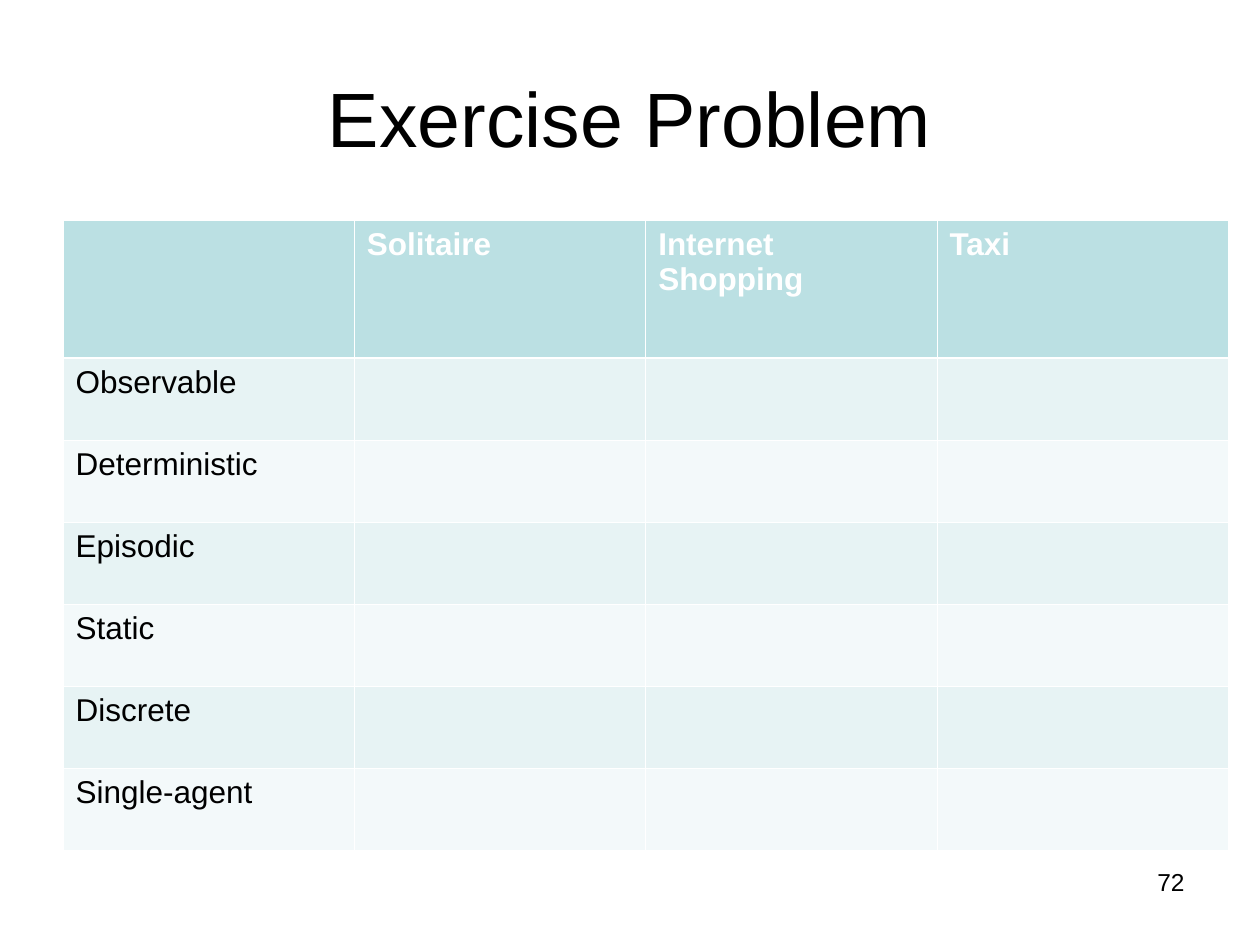
from dataclasses import dataclass

from lxml.etree import SubElement
from pptx import Presentation
from pptx.dml.color import RGBColor
from pptx.enum.text import MSO_ANCHOR as Anchor, PP_ALIGN as Align
from pptx.oxml.ns import qn
from pptx.util import Pt


@dataclass(frozen=True)
class Theme:
    font: str = "Arial"
    text: str = "000000"
    header_text: str = "FFFFFF"
    header_fill: str = "BBE0E3"
    bands: tuple = ("E7F3F4", "F3F9FA")
    border: str = "FFFFFF"
    thin: float = 0.45
    thick: float = 1.47
    title_size: int = 44
    table_size: int = 18
    number_size: int = 14


class SlideBuilder:
    def __init__(self, slide, theme):
        self.s = slide
        self.theme = theme

    def style(self, tf, size, color, bold=False, align=Align.LEFT):
        for p in tf.paragraphs:
            p.alignment = align
            # The paragraph font also sets the height of empty cells.
            for font in [p.font] + [r.font for r in p.runs]:
                font.name = self.theme.font
                font.size = Pt(size)
                font.bold = bold
                font.color.rgb = RGBColor.from_string(color)

    def text(self, text, box, size, align, anchor=Anchor.TOP):
        sp = self.s.shapes.add_textbox(*(Pt(v) for v in box))
        tf = sp.text_frame
        tf.word_wrap = True
        tf.vertical_anchor = anchor
        tf.text = text
        self.style(tf, size, self.theme.text, align=align)

    def borders(self, cell, top, bottom):
        """Draw the four cell edges, which must come before the fill in the XML."""
        tc_pr = cell._tc.get_or_add_tcPr()
        widths = {"L": self.theme.thin, "R": self.theme.thin, "T": top, "B": bottom}
        for i, (side, width) in enumerate(widths.items()):
            ln = SubElement(tc_pr, qn(f"a:ln{side}"), w=str(int(Pt(width))))
            fill = SubElement(ln, qn("a:solidFill"))
            SubElement(fill, qn("a:srgbClr"), val=self.theme.border)
            tc_pr.insert(i, ln)

    def table(self, headers, labels, left, top, col_width, header_height, row_height):
        t = self.theme
        n_rows, n_cols = len(labels) + 1, len(headers)
        height = header_height + row_height * len(labels)
        table = self.s.shapes.add_table(
            n_rows, n_cols, Pt(left), Pt(top), Pt(col_width * n_cols), Pt(height)
        ).table
        for col in table.columns:
            col.width = Pt(col_width)
        blanks = [""] * (n_cols - 1)
        rows = [headers] + [[label] + blanks for label in labels]
        for i, values in enumerate(rows):
            header = i == 0
            table.rows[i].height = Pt(header_height if header else row_height)
            fill = t.header_fill if header else t.bands[(i - 1) % 2]
            color = t.header_text if header else t.text
            for j, value in enumerate(values):
                cell = table.cell(i, j)
                cell.text = value
                self.style(cell.text_frame, t.table_size, color, bold=header)
                cell.fill.solid()
                cell.fill.fore_color.rgb = RGBColor.from_string(fill)
                self.borders(
                    cell,
                    top=t.thick if i == 1 else t.thin,
                    bottom=t.thick if header else t.thin,
                )


def main():
    prs = Presentation()
    prs.slide_width, prs.slide_height = Pt(720), Pt(540)
    theme = Theme()
    slide = SlideBuilder(prs.slides.add_slide(prs.slide_layouts[6]), theme)

    slide.text("Exercise Problem", (36, 21.6, 648, 90), theme.title_size,
               Align.CENTER, Anchor.MIDDLE)
    slide.text("72", (516, 492, 168, 37.5), theme.number_size, Align.RIGHT)
    slide.table(
        headers=["", "Solitaire", "Internet Shopping", "Taxi"],
        labels=["Observable", "Deterministic", "Episodic",
                "Static", "Discrete", "Single-agent"],
        left=36, top=126, col_width=166.5, header_height=78.8, row_height=46.87,
    )
    prs.save("out.pptx")


if __name__ == "__main__":
    main()
